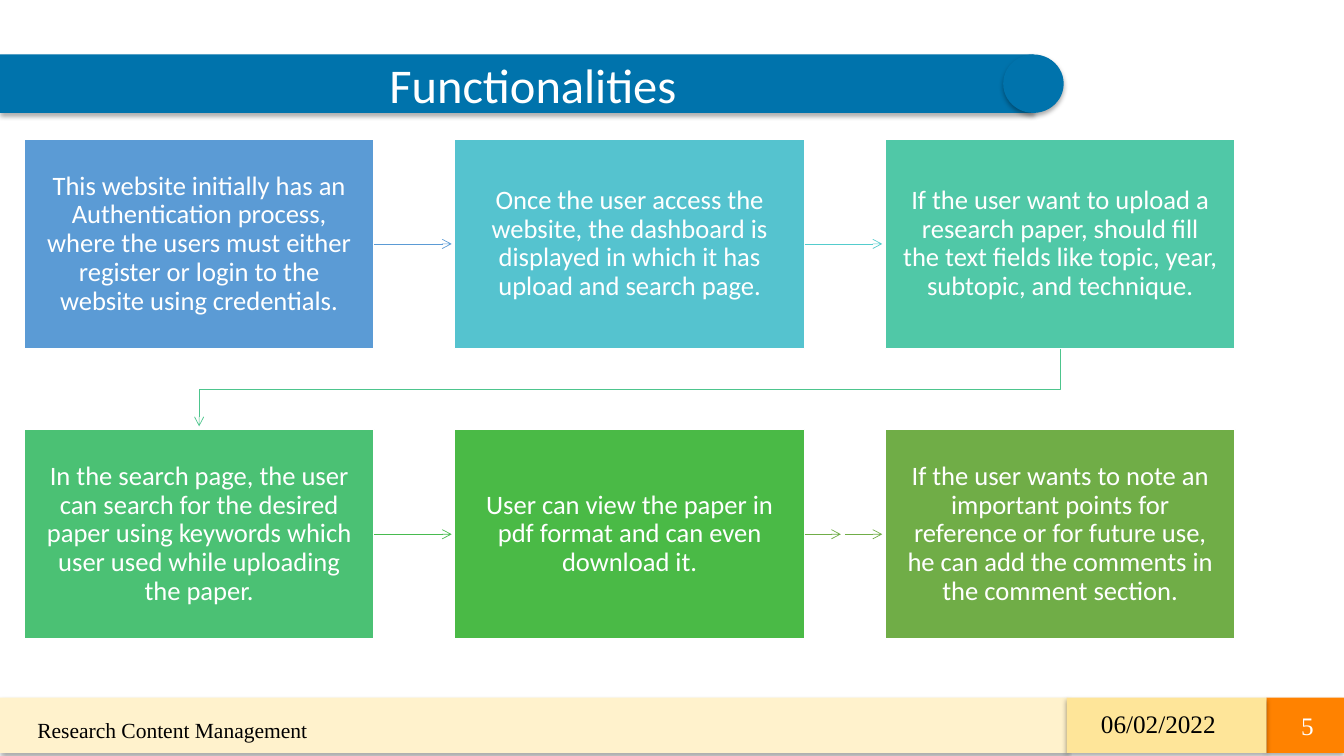
import pptx
import pptx.util
import pptx.dml.color
import pptx.enum.shapes
import pptx.enum.text
import pptx.oxml
import pptx.oxml.ns

Inches, Pt = pptx.util.Inches, pptx.util.Pt
RGBColor = pptx.dml.color.RGBColor
SHAPE = pptx.enum.shapes.MSO_SHAPE
ANCHOR = pptx.enum.text.MSO_ANCHOR
ALIGN = pptx.enum.text.PP_ALIGN

WHITE = RGBColor(0xFF, 0xFF, 0xFF)
BLACK = RGBColor(0x00, 0x00, 0x00)
BLUE = RGBColor(0x00, 0x73, 0xAC)
CREAM = RGBColor(0xFF, 0xF2, 0xCC)
YELLOW = RGBColor(0xFE, 0xE5, 0x99)
ORANGE = RGBColor(0xFF, 0x82, 0x00)
GREEN = RGBColor(0x70, 0xAD, 0x47)
RETURN_GREEN = RGBColor(0x4D, 0xC5, 0x8D)

SERIF = "Times New Roman"
SANS = "Calibri"
NS = pptx.oxml.ns.nsdecls("a")
SHADOW = (f'<a:effectLst {NS}><a:outerShdw blurRad="44450" dist="27940" dir="5400000">'
          '<a:srgbClr val="000000"><a:alpha val="32000"/></a:srgbClr>'
          '</a:outerShdw></a:effectLst>')

STEPS = [
    ("This website initially has an Authentication process, where the users must either "
     "register or login to the website using credentials.",
     RGBColor(0x5B, 0x9B, 0xD5), RGBColor(0x5B, 0x9B, 0xD5)),
    ("Once the user access the website, the dashboard is displayed in which it has "
     "upload and search page.",
     RGBColor(0x55, 0xC3, 0xCF), RGBColor(0x54, 0xCC, 0xCD)),
    ("If the user want to upload a research paper, should fill the text fields like "
     "topic, year, subtopic, and technique.",
     RGBColor(0x50, 0xC8, 0xA7), RETURN_GREEN),
    ("In the search page, the user can search for the desired paper using keywords "
     "which user used while uploading the paper.",
     RGBColor(0x4B, 0xC1, 0x74), RGBColor(0x48, 0xBB, 0x4F)),
    ("User can view the paper in pdf format and can even download it.",
     RGBColor(0x4A, 0xBA, 0x46), GREEN),
    ("If the user wants to note an important points for reference or for future use, "
     "he can add the comments in the comment section.",
     GREEN, GREEN),
]


def write(sp, text, size, font, color, align, anchor, insets):
    """Put one formatted run into a shape, with (left, top, right, bottom) insets."""
    tf = sp.text_frame
    tf.word_wrap = True
    tf.auto_size = pptx.enum.text.MSO_AUTO_SIZE.NONE
    tf.vertical_anchor = anchor
    tf.margin_left, tf.margin_top, tf.margin_right, tf.margin_bottom = map(Inches, insets)
    p = tf.paragraphs[0]
    p.alignment = align
    r = p.add_run()
    r.text = text
    r.font.size, r.font.name, r.font.color.rgb = Pt(size), font, color
    return p


def add_block(s, kind, x, y, w, h, color):
    """Add a plain filled shape without line or shadow."""
    sp = s.shapes.add_shape(kind, Inches(x), Inches(y), Inches(w), Inches(h))
    sp.shadow.inherit = False
    sp.fill.solid()
    sp.fill.fore_color.rgb = color
    sp.line.fill.background()
    return sp


def cast_shadow(sp):
    """Give a shape the soft shadow below it."""
    spPr = sp._element.spPr
    for old in spPr.findall(pptx.oxml.ns.qn("a:effectLst")):
        spPr.remove(old)
    spPr.append(pptx.oxml.parse_xml(SHADOW))


def style_arrow(sp, color):
    """Draw a thin coloured line with an open arrowhead at its end."""
    sp.line.color.rgb = color
    sp.line.width = Pt(0.5)
    sp.line._get_or_add_ln().append(pptx.oxml.parse_xml(f'<a:tailEnd {NS} type="arrow"/>'))


def add_arrow(s, x1, x2, y, color, source=None):
    """Add a level arrow, joined to the right side of its source box if given."""
    c = s.shapes.add_connector(pptx.enum.shapes.MSO_CONNECTOR.STRAIGHT,
                               Inches(x1), Inches(y), Inches(x2), Inches(y))
    if source is not None:
        c.begin_connect(source, 3)
    style_arrow(c, color)
    c._element.spPr.append(pptx.oxml.parse_xml(f"<a:effectLst {NS}/>"))


def add_return_arrow(s, x1, y1, x2, y2, color):
    """Add the bent arrow from the end of one row to the start of the next."""
    bend = y1 + 0.4
    fb = s.shapes.build_freeform(Inches(x1), Inches(y1), scale=1.0)
    fb.add_line_segments([(Inches(x), Inches(y)) for x, y in
                          [(x1, bend), (x2, bend), (x2, y2)]], close=False)
    sp = fb.convert_to_shape()
    sp.shadow.inherit = False
    sp.fill.background()
    style_arrow(sp, color)


def add_title(s, x, y, w, h, text):
    """Turn the title placeholder into a banner with a round end."""
    title = s.shapes.title
    title.left, title.top, title.width, title.height = map(Inches, (x, y, w, h))
    title.fill.solid()
    title.fill.fore_color.rgb = BLUE
    cast_shadow(title)
    write(title, text, 34.6, SANS, WHITE, ALIGN.CENTER, ANCHOR.MIDDLE, (0.32, 0, 0, 0))
    cast_shadow(add_block(s, SHAPE.OVAL, x + w - 0.3, y, 0.6, h, BLUE))


def add_steps(s, x, y, w, h):
    """Lay the steps out in two rows of three, linked by arrows."""
    box_w, box_h, cols, tip = 3.47, 2.08, 3, 0.03
    step_x, step_y = (w - box_w) / (cols - 1), h - box_h
    gap = step_x - box_w
    for i, (text, fill, line) in enumerate(STEPS):
        row, col = divmod(i, cols)
        left, top = x + col * step_x, y + row * step_y
        box = add_block(s, SHAPE.RECTANGLE, left, top, box_w, box_h, fill)
        box.line.color.rgb = WHITE
        box.line.width = Pt(1)
        p = write(box, text, 19, SANS, WHITE, ALIGN.CENTER, ANCHOR.MIDDLE,
                  (0.17, 0.18, 0.17, 0.18))
        p.line_spacing = 0.9
        right, middle = left + box_w, top + box_h / 2
        end = right + gap - tip
        if i == 4:
            half = right + gap / 2
            add_arrow(s, right, half - 0.04, middle, line, box)
            add_arrow(s, half, end, middle, line)
        elif col < cols - 1:
            add_arrow(s, right, end, middle, line, box)
        elif row == 0:
            add_return_arrow(s, left + box_w / 2, top + box_h,
                             x + box_w / 2, y + step_y - tip, line)


def add_footer(s, x, y, w, h):
    """Add the three footer bands with project name, date and page number."""
    date_x, page_x = x + 10.58, x + 12.56
    for left, right, color in [(x, date_x, CREAM), (page_x, x + w, ORANGE),
                               (date_x, page_x, YELLOW)]:
        cast_shadow(add_block(s, SHAPE.RECTANGLE, left, y, right - left, h, color))
    small = (0.06, 0.03, 0.06, 0.03)
    for text, left, top, tw, th, size, color, align, anchor, insets in [
            ("06/02/2022", date_x + 0.28, y + 0.08, 1.57, 0.37, 18, BLACK,
             ALIGN.LEFT, ANCHOR.TOP, small),
            ("5", page_x + 0.13, y + 0.14, 0.4, 0.27, 18, WHITE,
             ALIGN.RIGHT, ANCHOR.MIDDLE, small),
            ("Research Content Management", x + 0.22, y + 0.14, 6.72, 0.36, 15.4, BLACK,
             ALIGN.LEFT, ANCHOR.TOP, (0.15, 0.05, 0.1, 0.05))]:
        sp = s.shapes.add_textbox(Inches(left), Inches(top), Inches(tw), Inches(th))
        write(sp, text, size, SERIF, color, align, anchor, insets)


def main():
    """Build the slide and save it."""
    prs = pptx.Presentation()
    prs.slide_width, prs.slide_height = Inches(13.33), Inches(7.5)
    s = prs.slides.add_slide(prs.slide_layouts[5])
    add_title(s, 0, 0.54, 10.25, 0.58, "Functionalities")
    add_steps(s, 0.24, 1.38, 12.01, 4.96)
    add_footer(s, 0, 6.92, 13.33, 0.55)
    prs.save("out.pptx")


if __name__ == "__main__":
    main()
